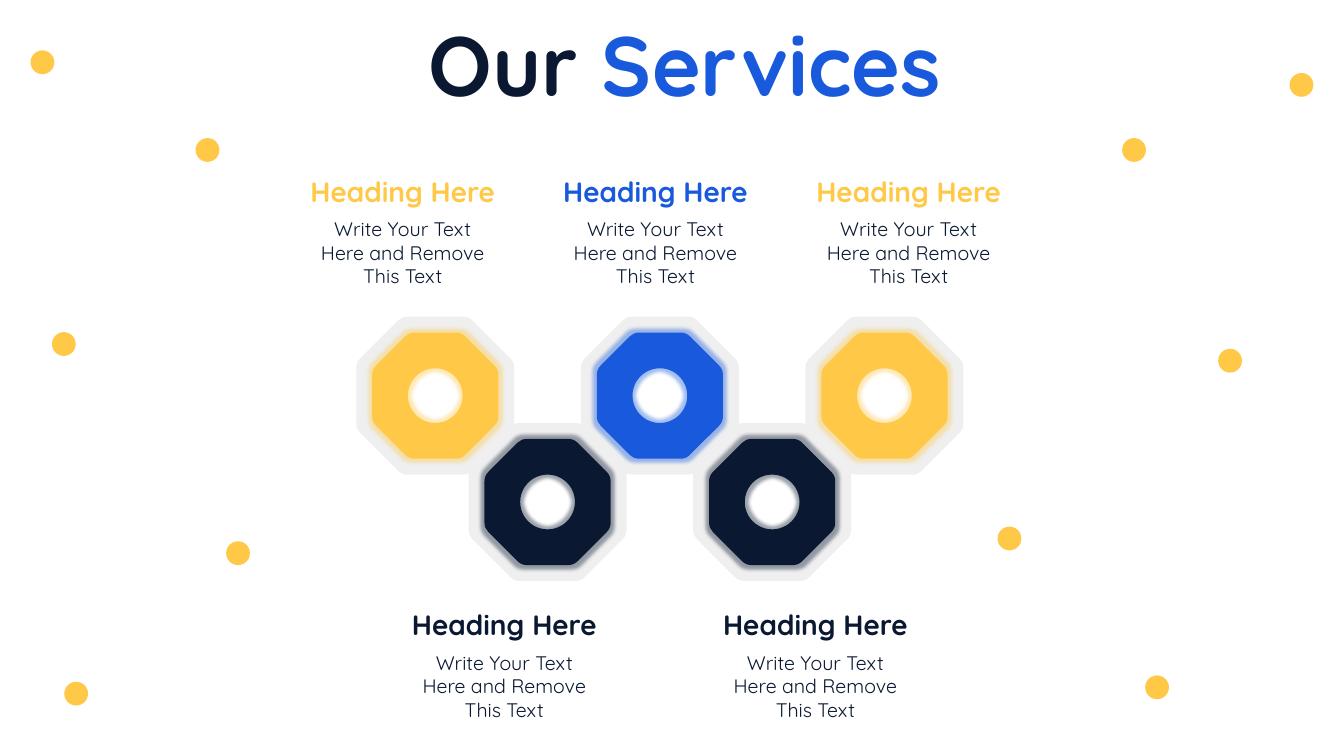
import math

from lxml import etree
from pptx import Presentation
from pptx.dml.color import RGBColor
from pptx.enum import shapes, text
from pptx.oxml import ns
from pptx.util import Cm, Pt

FONT = "Quicksand"
YELLOW, BLUE, NAVY, GREY = "FFC947", "185ADB", "0A1931", "EFEFEF"
HOLE_RADIUS = 0.69
CORNER_CUT = 0.14

DOT_SIZE = 0.6
DOT_CENTRES = [
    (1.92, 17.48), (28.58, 3.78), (5.23, 3.78), (29.16, 17.32), (31, 9.09),
    (6, 13.94), (1.61, 8.67), (25.44, 13.57), (32.8, 2.14), (1.07, 1.57),
]
RING_COLOURS = [YELLOW, NAVY, BLUE, NAVY, YELLOW]
# Centre, top and heading colour of each service text
SERVICES = [
    (10.15, 4.27, YELLOW), (16.52, 4.27, BLUE), (22.9, 4.27, YELLOW),
    (12.71, 15.19, NAVY), (20.55, 15.19, NAVY),
]


def colour(value):
    return RGBColor.from_string(value)


def paint(shape, fill):
    shape.shadow.inherit = False
    shape.fill.solid()
    shape.fill.fore_color.rgb = colour(fill)
    shape.line.fill.background()


def add_child(parent, tag, **attributes):
    return etree.SubElement(
        parent, ns.qn(tag), {k: str(v) for k, v in attributes.items()})


def add_dot(page, x, y):
    corner = Cm(x - DOT_SIZE / 2), Cm(y - DOT_SIZE / 2)
    dot = page.shapes.add_shape(
        shapes.MSO_SHAPE.OVAL, *corner, Cm(DOT_SIZE), Cm(DOT_SIZE))
    paint(dot, YELLOW)


def cut_corners(corners):
    """Give the start and end of the cut at each corner, in turn."""
    points = []
    for i, corner in enumerate(corners):
        for near in (corners[i - 1], corners[(i + 1) % len(corners)]):
            share = CORNER_CUT / math.dist(corner, near)
            points.append([c + (n - c) * share for c, n in zip(corner, near)])
    return points


def round_corners(outline, corners, half):
    """Turn the straight cuts of an outline into curves."""
    cuts = outline.findall(ns.qn("a:lnTo"))[::2]
    for cut, (dx, dy) in zip(cuts, corners):
        cut.addprevious(curve := etree.Element(ns.qn("a:quadBezTo")))
        add_child(curve, "a:pt", x=Cm(half + dx), y=Cm(half + dy))
        curve.append(cut[0])
        outline.remove(cut)


def add_hole(outline, half):
    start = add_child(outline, "a:moveTo")
    add_child(start, "a:pt", x=Cm(half + HOLE_RADIUS), y=Cm(half))
    radius = Cm(HOLE_RADIUS)
    for angle in (0, 180):
        add_child(outline, "a:arcTo", wR=radius, hR=radius,
                  stAng=angle * 60000, swAng=-180 * 60000)
    add_child(outline, "a:close")


def add_octagon_ring(page, x, y, half, flat, fill):
    """half is the half width, flat the half length of a level side."""
    corners = [(flat, -half), (half, -flat), (half, flat), (flat, half),
               (-flat, half), (-half, flat), (-half, -flat), (-flat, -half)]
    points = [(Cm(x + dx), Cm(y + dy)) for dx, dy in cut_corners(corners)]
    builder = page.shapes.build_freeform(*points[0])
    builder.add_line_segments(points[1:])
    ring = builder.convert_to_shape()
    outline = next(ring._element.spPr.iter(ns.qn("a:path")))
    round_corners(outline, corners, half)
    add_hole(outline, half)
    paint(ring, fill)
    return ring


def add_glow(shape, value):
    effects = shape._element.spPr.find(ns.qn("a:effectLst"))
    glow = add_child(effects, "a:glow", rad=Pt(5))
    tint = add_child(glow, "a:srgbClr", val=value)
    add_child(tint, "a:alpha", val=40000)


def add_text(page, spans, centre, top, width, height,
             size=14, bold=False, wrap=False):
    """Write (words, colour) spans as one centred paragraph."""
    box = page.shapes.add_textbox(
        Cm(centre - width / 2), Cm(top), Cm(width), Cm(height))
    frame = box.text_frame
    frame.word_wrap = wrap
    frame.auto_size = text.MSO_AUTO_SIZE.SHAPE_TO_FIT_TEXT
    para = frame.paragraphs[0]
    para.alignment = text.PP_ALIGN.CENTER
    for words, value in spans:
        span = para.add_run()
        span.text = words
        span.font.name = FONT
        span.font.size = Pt(size)
        span.font.bold = bold
        span.font.color.rgb = colour(value)


def add_service(page, centre, top, heading_colour):
    add_text(page, [("Heading Here", heading_colour)], centre, top,
             5.31, 1.12, size=20, bold=True)
    add_text(page, [("Write Your Text Here and Remove This Text", NAVY)],
             centre, top + 1.08, 4.9, 2.06, wrap=True)


def main():
    deck = Presentation()
    deck.slide_width, deck.slide_height = Cm(33.87), Cm(19.05)
    page = deck.slides.add_slide(deck.slide_layouts[6])

    for x, y in DOT_CENTRES:
        add_dot(page, x, y)

    centres = [(10.97 + 2.83 * i, 12.65 if i % 2 else 9.97)
               for i in range(len(RING_COLOURS))]
    for x, y in centres:
        add_octagon_ring(page, x, y, 1.99, 0.84, GREY)
    for (x, y), fill in zip(centres, RING_COLOURS):
        ring = add_octagon_ring(page, x, y, 1.59, 0.66, fill)
        add_glow(ring, fill)

    for service in SERVICES:
        add_service(page, *service)
    add_text(page, [("Our", NAVY), (" Services", BLUE)], 17.26, 0.2,
             13.49, 2.82, size=60, bold=True)
    deck.save("out.pptx")


if __name__ == "__main__":
    main()
